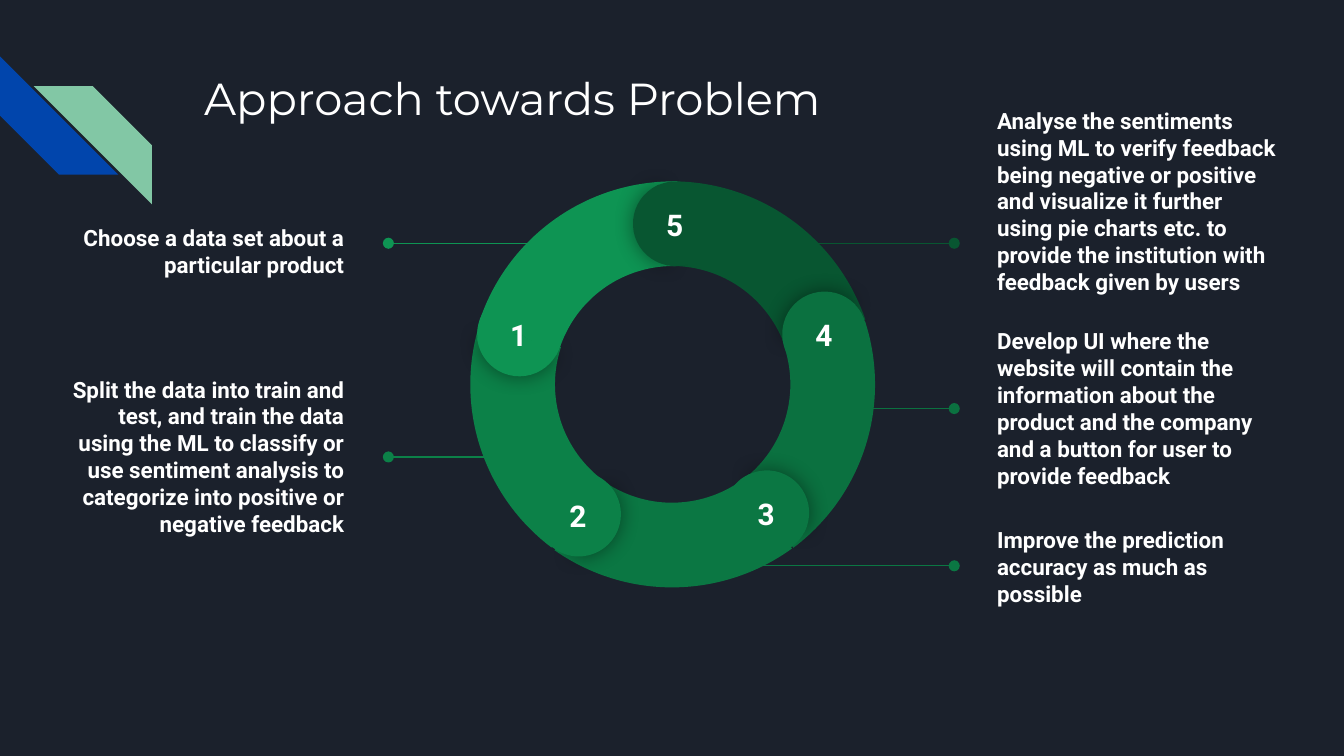
from lxml.etree import SubElement
from pptx import Presentation
from pptx.dml.color import RGBColor
from pptx.enum.shapes import MSO_CONNECTOR, MSO_SHAPE
from pptx.enum.text import MSO_ANCHOR, PP_ALIGN
from pptx.oxml.ns import qn
from pptx.util import Inches, Pt


def color(code):
    return RGBColor.from_string(code)


class Deck:
    """Holds the style and the current slide."""
    back, ink = "1B212C", "FFFFFF"
    head, body = "Montserrat", "Roboto"
    ring, band = 3.04, 0.63

    def __init__(self):
        self.prs = Presentation()
        self.prs.slide_width = Inches(10)
        self.prs.slide_height = Inches(10 * 9 / 16)
        self.slide = self.prs.slides.add_slide(self.prs.slide_layouts[6])
        fill = self.slide.background.fill
        fill.solid()
        fill.fore_color.rgb = color(self.back)

    def text(self, words, box, size, font, bold=True,
             align=PP_ALIGN.LEFT, anchor=MSO_ANCHOR.TOP):
        frame = self.slide.shapes.add_textbox(*map(Inches, box)).text_frame
        frame.word_wrap = True
        frame.vertical_anchor = anchor
        frame.margin_left = frame.margin_right = Inches(0.1)
        frame.margin_top = frame.margin_bottom = Inches(0.1)
        frame.text = words
        para = frame.paragraphs[0]
        para.alignment = align
        for run in para.runs:
            run.font.name, run.font.size, run.font.bold = font, Pt(size), bold
            run.font.color.rgb = color(self.ink)

    def shape(self, kind, box, fill, turn=0, adjust=()):
        item = self.slide.shapes.add_shape(kind, *map(Inches, box))
        item.shadow.inherit = False
        item.fill.solid()
        item.fill.fore_color.rgb = color(fill)
        item.line.fill.background()
        item.rotation = turn
        for i, value in enumerate(adjust):
            item.adjustments[i] = value
        return item

    def glow(self, item):
        """Add a soft black shadow on all sides."""
        effects = item._element.spPr.find(qn("a:effectLst"))
        shade = SubElement(effects, qn("a:outerShdw"), blurRad=str(Pt(11.2)),
                           dist="0", dir="0", algn="ctr", rotWithShape="0")
        black = SubElement(shade, qn("a:srgbClr"), val="000000")
        SubElement(black, qn("a:alpha"), val="43000")

    def arc(self, left, top, turn, fill, start=126.03):
        self.shape(MSO_SHAPE.BLOCK_ARC, (left, top, self.ring, self.ring),
                   fill, turn, (start, 168.68, self.band / self.ring))

    def cap(self, left, top, turn, fill):
        """Draw a round end: a half with a shadow, then a plain half."""
        box = (left, top, self.band, self.band)
        kind = MSO_SHAPE.PIE
        self.glow(self.shape(kind, box, fill, turn, (61.9, 149.96)))
        self.shape(kind, box, fill, (turn + 179.3) % 360, (40.28, 171.84))

    def line(self, start, end, y, fill):
        """Draw a level line with a dot at its end."""
        wire = self.slide.shapes.add_connector(
            MSO_CONNECTOR.STRAIGHT,
            Inches(start), Inches(y), Inches(end), Inches(y))
        wire.line.width = Pt(0.75)
        wire.line.color.rgb = color(fill)
        props = wire._element.spPr
        SubElement(props.find(qn("a:ln")), qn("a:tailEnd"), type="oval")
        SubElement(props, qn("a:effectLst"))


GREENS = {1: "0E9453", 2: "0C8148", 3: "0B7743", 4: "0B7140", 5: "085631"}

# step: line start, line height, text top, text
NOTES = {
    1: (4.23, 1.81, 1.36, "Choose a data set about a particular product"),
    2: (3.91, 3.4, 2.89,
        "Split the data into train and test, and train the data using the ML "
        "to classify or use sentiment analysis to categorize into positive "
        "or negative feedback"),
    3: (5.09, 4.21, 3.71,
        "Improve the prediction accuracy as much as possible"),
    4: (6.14, 3.04, 2.53,
        "Develop UI where the website will contain the information about the "
        "product and the company and a button for user to provide feedback"),
    5: (5.7, 1.81, 0.99,
        "Analyse the sentiments using ML to verify feedback being negative "
        "or positive and visualize it further using pie charts etc. to "
        "provide the institution with feedback given by users"),
}

# step: left, top, turn
ARCS = {1: (3.49, 1.35, 350), 2: (3.5, 1.34, 277), 3: (3.48, 1.33, 204),
        4: (3.47, 1.34, 132), 5: (3.48, 1.35, 60)}
CAPS = {1: (3.55, 2.17, 284.1), 2: (3.99, 3.51, 211.1), 3: (5.39, 3.5, 139.1),
        4: (5.82, 2.17, 67.1), 5: (4.71, 1.35, 357.1)}

# Each cap lies over the arc of the next step
STACK = (("arc", 2), ("arc", 4), ("arc", 5), ("cap", 4), ("arc", 3),
         ("cap", 2), ("arc", 1), ("cap", 5), ("cap", 3), ("cap", 1))


def main():
    deck = Deck()
    stripe = MSO_SHAPE.DIAGONAL_STRIPE
    deck.shape(stripe, (0, 0.42, 0.88, 0.88), "0145AC", 270, (0.5,))
    mint = deck.shape(stripe, (0.25, 0.64, 0.88, 0.88), "82C7A5", 0, (0.5,))
    mint._element.spPr.xfrm.set("flipH", "1")
    deck.text("Approach towards Problem", (1.42, 0.43, 7.7, 1), 24,
              deck.head, bold=False)

    for step, (start, y, top, words) in NOTES.items():
        left = step < 3
        deck.line(start, 2.89 if left else 7.1, y, GREENS[step])
        deck.text(words, (0.34 if left else 7.32, top, 2.32, 1.01), 12,
                  deck.body, align=PP_ALIGN.RIGHT if left else PP_ALIGN.LEFT,
                  anchor=MSO_ANCHOR.MIDDLE)

    for kind, step in STACK:
        if kind == "cap":
            deck.cap(*CAPS[step], GREENS[step])
        else:
            deck.arc(*ARCS[step], GREENS[step], 125.13 if step == 1 else 126.03)

    for step, (left, top, _) in CAPS.items():
        deck.text(str(step), (left + 0.03, top + 0.09, 0.56, 0.29), 16,
                  deck.body, align=PP_ALIGN.CENTER)
    deck.prs.save("out.pptx")


if __name__ == "__main__":
    main()
